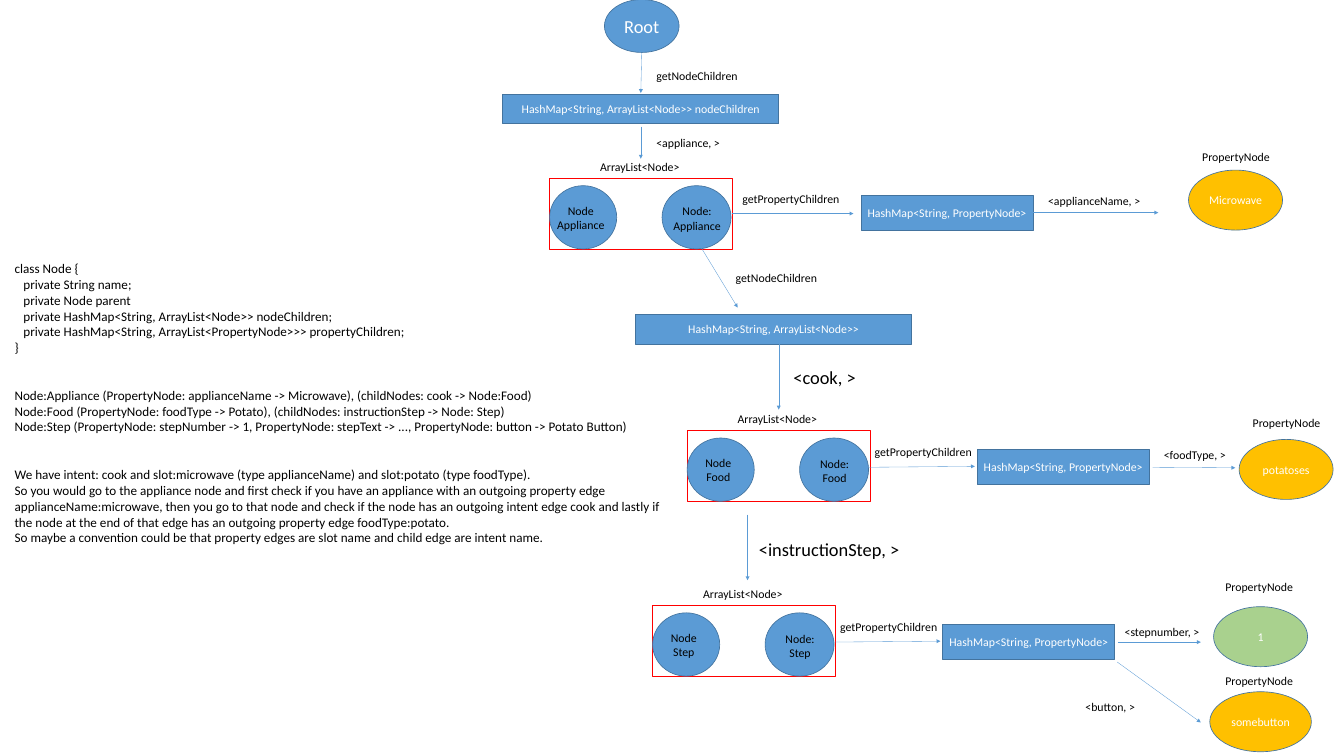
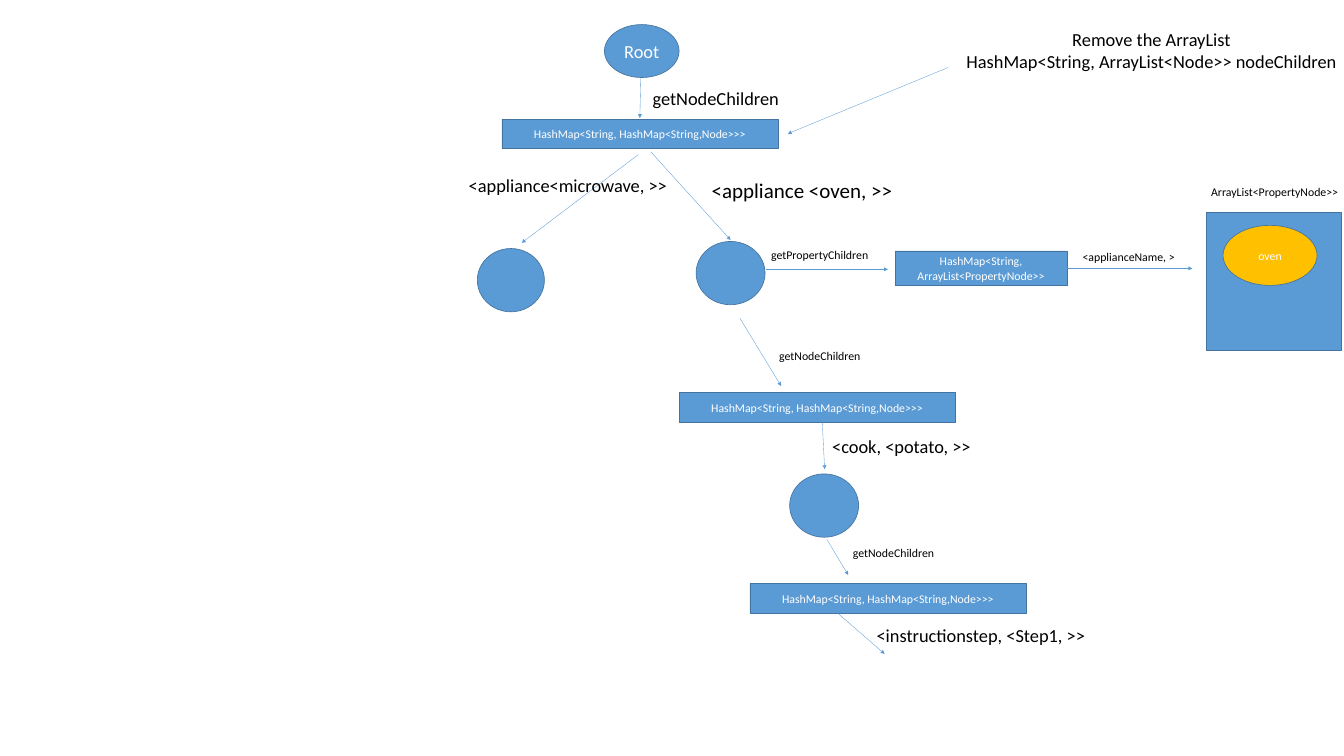
import dataclasses

import lxml.etree
import pptx
import pptx.dml.color
import pptx.enum.shapes
import pptx.enum.text
import pptx.oxml.ns
import pptx.util
from pptx.util import Cm


@dataclasses.dataclass(frozen=True)
class Theme:
    font: str = "Calibri"
    blue: str = "5B9BD5"
    outline: str = "43739E"
    gold: str = "FFC000"
    green: str = "A9D18E"
    red: str = "FF0000"
    white: str = "FFFFFF"
    black: str = "000000"
    small: int = 18
    body: int = 20
    large: int = 28
    huge: int = 32
    step: float = 2.54  # one grid step in centimetres


theme = Theme()
rgb = pptx.dml.color.RGBColor.from_string
align = pptx.enum.text.PP_ALIGN
anchor = pptx.enum.text.MSO_ANCHOR
RECT = pptx.enum.shapes.MSO_SHAPE.RECTANGLE
OVAL = pptx.enum.shapes.MSO_SHAPE.OVAL

# Sizes that recur, in grid steps
ROOT = (1.58, 1.12)
MAP = (5.84, 0.63)
PROPERTY_MAP = (3.64, 0.74)
PROPERTY = (1.99, 1.27)
LEFT_NODE = (1.42, 1.34)
NODE = (1.46, 1.34)
FRAME = (3.87, 1.5)
NODE_LABEL = (1.24, 1.01)
LABEL = (2.5, 0.4)
WIDE_LABEL = (3.22, 0.4)


def add_block(page, kind, place, extent, text="", size=theme.small,
              fill=theme.blue, line=theme.outline, centered=False):
    """Add a filled shape, or a plain text box when kind is None."""
    frame = [Cm(value * theme.step) for value in (*place, *extent)]
    if kind is None:
        box = page.shapes.add_textbox(*frame)
    else:
        box = page.shapes.add_shape(kind, *frame)
        box.shadow.inherit = False
        box.fill.solid()
        box.fill.fore_color.rgb = rgb(fill)
        box.line.color.rgb = rgb(line)
        box.line.width = pptx.util.Pt(1)
        box.text_frame.vertical_anchor = anchor.MIDDLE
    box.text_frame.word_wrap = True
    box.text_frame.text = text
    for para in box.text_frame.paragraphs:
        para.alignment = align.CENTER if kind or centered else align.LEFT
        for span in para.runs:
            span.font.name = theme.font
            span.font.size = pptx.util.Pt(size)
            span.font.color.rgb = rgb(theme.white if kind else theme.black)
    return box


def add_arrow(page, start, end):
    ends = [Cm(value * theme.step) for value in (*start, *end)]
    arrow = page.shapes.add_connector(
        pptx.enum.shapes.MSO_CONNECTOR.STRAIGHT, *ends)
    arrow.line.color.rgb = rgb(theme.blue)
    arrow.line.width = pptx.util.Pt(0.5)
    qn = pptx.oxml.ns.qn
    head = lxml.etree.SubElement(arrow.line._get_or_add_ln(), qn("a:tailEnd"))
    head.set("type", "triangle")
    lxml.etree.SubElement(arrow._element.spPr, qn("a:effectLst"))


deck = pptx.Presentation()
deck.slide_width = Cm(28.44 * theme.step)
deck.slide_height = Cm(16 * theme.step)
blank = deck.slide_layouts[6]

# ---- Slide 1: tree with lists of nodes ----
page = deck.slides.add_slide(blank)

# Root and the maps of child nodes
add_block(page, OVAL, (12.79, -0.01), ROOT, "Root", theme.large)
for place, text in [
    ((10.64, 1.99), "HashMap<String, ArrayList<Node>> nodeChildren"),
    ((13.45, 6.65), "HashMap<String, ArrayList<Node>>"),
]:
    add_block(page, RECT, place, MAP, text)

# Node lists, each with its map of properties:
# name, corner of the frame, then offsets of arrow start and end, label, map
near = ((3.76, 0.78), (6.09, 0.76), (3.87, 0.26), (6.14, 0.4))
far = ((3.87, 0.75), (6.43, 0.75), (3.98, 0.23), (6.59, 0.36))
for name, left, top, offsets in [
    ("Appliance", 11.63, 3.77, far),
    ("Food", 14.54, 9.11, near),
    ("Step", 13.81, 12.81, near),
]:
    start, end, label, map_place = [(left + x, top + y) for x, y in offsets]
    add_block(page, RECT, (left, top), FRAME, fill=theme.white, line=theme.red)
    add_block(page, OVAL, (left, top + 0.16), LEFT_NODE)
    add_block(page, OVAL, (left + 2.38, top + 0.16), NODE)
    add_block(page, None, (left + 0.04, top + 0.49), NODE_LABEL,
              f"Node\n{name}", centered=True)
    add_block(page, None, (left + 2.5, top + 0.5), NODE_LABEL,
              f"Node:\n{name}", centered=True)
    add_block(page, None, (left + 0.97, top - 0.44), (2.76, 0.4),
              "ArrayList<Node>")
    add_arrow(page, start, end)
    add_block(page, None, label, LABEL, "getPropertyChildren")
    add_block(page, RECT, map_place, PROPERTY_MAP,
              "HashMap<String, PropertyNode>")

# Property nodes and their headings
for text, place, extent, fill, heading in [
    ("Microwave", (25.15, 3.6), PROPERTY, theme.gold, (25.34, 3.12)),
    ("potatoses", (26.22, 9.3), PROPERTY, theme.gold, (26.41, 8.75)),
    ("1", (25.68, 12.84), PROPERTY, theme.green, (25.83, 12.23)),
    ("somebutton", (25.6, 14.64), (2.15, 1.27), theme.gold, (25.83, 14.21)),
]:
    add_block(page, OVAL, place, extent, text, fill=fill)
    add_block(page, None, heading, WIDE_LABEL, "PropertyNode")

# Labelled edges
for start, end, place, extent, text, size in [
    ((13.58, 1.1), (13.56, 1.97), (13.79, 1.4), LABEL,
     "getNodeChildren", theme.small),
    ((13.56, 2.68), (13.56, 3.36), (13.79, 2.82), LABEL,
     "<appliance, >", theme.small),
    ((14.74, 5.08), (15.61, 6.51), (15.47, 5.67), LABEL,
     "getNodeChildren", theme.small),
    ((16.48, 7.28), (16.48, 8.67), (16.69, 7.7), (2.38, 0.57),
     "<cook, >", theme.large),
    ((15.82, 10.89), (15.82, 12.28), (15.96, 11.34), (3.98, 0.57),
     "<instructionStep, >", theme.large),
    ((21.69, 4.5), (24.51, 4.5), (22.08, 4.06), LABEL,
     "<applianceName, >", theme.small),
    ((24.39, 9.89), (26.14, 9.9), (24.53, 9.43), LABEL,
     "<foodType, >", theme.small),
    ((23.66, 13.59), (25.41, 13.59), (23.7, 13.17), LABEL,
     "<stepnumber, >", theme.small),
    ((23.64, 14.01), (25.41, 15.29), (22.87, 14.76), (1.93, 0.4),
     "<button, >", theme.small),
]:
    add_arrow(page, start, end)
    add_block(page, None, place, extent, text, size)

# Class sketch and explanation
notes = [
    "class Node {",
    "private String name;",
    "private Node parent",
    "private HashMap<String, ArrayList<Node>> nodeChildren;",
    "private HashMap<String, ArrayList<PropertyNode>>> propertyChildren;",
    "}",
    "Node:Appliance (PropertyNode: applianceName -> Microwave), "
    "(childNodes: cook -> Node:Food)",
    "Node:Food (PropertyNode: foodType -> Potato), "
    "(childNodes: instructionStep -> Node: Step)",
    "Node:Step (PropertyNode: stepNumber -> 1, PropertyNode: stepText -> ..., "
    "PropertyNode: button -> Potato Button)",
    "We have intent: cook and slot:microwave (type applianceName) "
    "and slot:potato (type foodType).",
    "So you would go to the appliance node and first check if you have an "
    "appliance with an outgoing property edge applianceName:microwave, then "
    "you go to that node and check if the node has an outgoing intent edge "
    "cook and lastly if the node at the end of that edge has an outgoing "
    "property edge foodType:potato.",
    "So maybe a convention could be that property edges are slot name and "
    "child edge are intent name.",
]
box = add_block(page, None, (0.21, 5.47), (14.22, 6.16), "\n".join(notes),
                theme.body)
for para in box.text_frame.paragraphs:
    if para.text.startswith("private"):
        para._p.get_or_add_pPr().set("marL", str(Cm(0.48)))
    if para.text.startswith(("Node:Appliance", "We have")):
        para.space_before = pptx.util.Pt(48.8)  # two lines

# ---- Slide 2: tree with nested maps ----
page = deck.slides.add_slide(blank)

# Root, maps of child nodes and nodes
add_block(page, OVAL, (12.79, 0.52), ROOT, "Root", theme.large)
for place in [(10.62, 2.52), (14.37, 8.31), (15.87, 12.35)]:
    add_block(page, RECT, place, MAP, "HashMap<String, HashMap<String,Node>>>")
for place, extent in [((10.1, 5.26), LEFT_NODE), ((14.73, 5.11), NODE),
                      ((16.71, 10.03), NODE)]:
    add_block(page, OVAL, place, extent)

# Property map and its list
add_block(page, RECT, (18.94, 5.31), PROPERTY_MAP,
          "HashMap<String, ArrayList<PropertyNode>>")
add_block(page, RECT, (25.53, 4.49), (2.85, 2.93))
add_block(page, OVAL, (25.88, 4.77), PROPERTY, "oven", fill=theme.gold)
add_block(page, None, (25.53, 3.86), WIDE_LABEL, "ArrayList<PropertyNode>>")

# Labelled edges
for start, end, place, extent, text, size in [
    ((13.56, 1.63), (13.54, 2.5), (13.71, 1.79), (3.27, 0.58),
     "getNodeChildren", theme.large),
    ((13.51, 3.27), (11.04, 5.14), (9.82, 3.63), (4.6, 0.57),
     "<appliance<microwave, >>", theme.large),
    ((13.77, 3.21), (15.46, 5.08), (14.96, 3.71), (4.81, 0.64),
     "<appliance <oven, >>", theme.huge),
    ((16.22, 5.7), (18.79, 5.7), (16.22, 5.19), LABEL,
     "getPropertyChildren", theme.small),
    ((22.41, 5.68), (25.23, 5.68), (22.81, 5.23), LABEL,
     "<applianceName, >", theme.small),
    ((15.66, 6.74), (16.53, 8.17), (16.39, 7.33), LABEL,
     "getNodeChildren", theme.small),
    ((17.4, 8.94), (17.45, 9.93), (17.51, 9.16), (3.51, 0.57),
     "<cook, <potato, >>", theme.large),
    ((17.5, 11.42), (17.95, 12.17), (17.95, 11.51), LABEL,
     "getNodeChildren", theme.small),
    ((17.73, 12.98), (18.72, 13.84), (18.45, 13.16), (6.39, 0.57),
     "<instructionstep, <Step1, >>", theme.large),
]:
    add_arrow(page, start, end)
    add_block(page, None, place, extent, text, size)

# Remark on the first map
add_arrow(page, (20.06, 1.43), (16.67, 2.83))
add_block(page, None, (20.03, 0.55), (8.67, 1.04),
          "Remove the ArrayList\nHashMap<String, ArrayList<Node>> nodeChildren",
          theme.large, centered=True)

deck.save("out.pptx")
